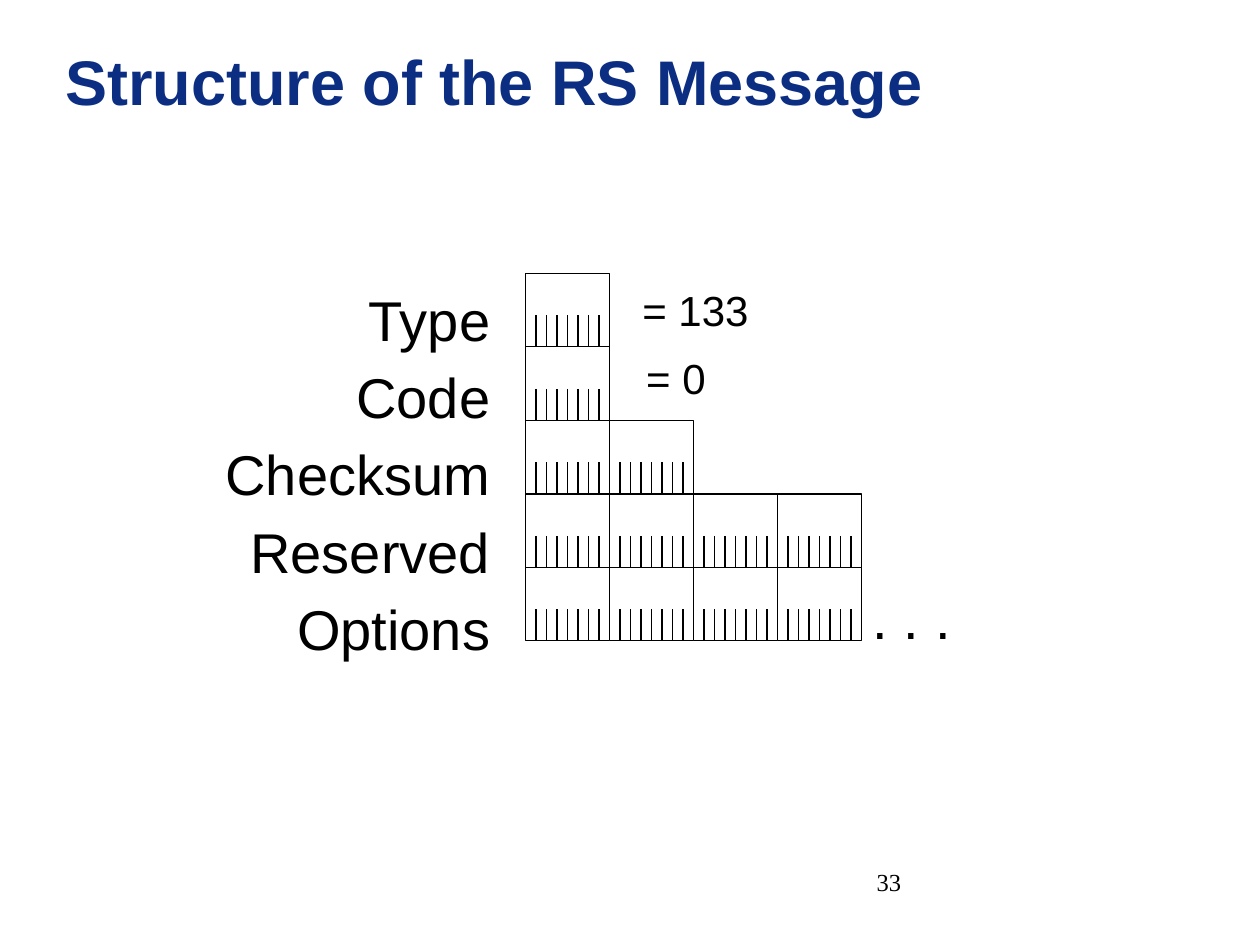
from lxml.etree import SubElement
from pptx import Presentation
from pptx.dml.color import RGBColor
from pptx.enum.shapes import MSO_CONNECTOR, MSO_SHAPE
from pptx.enum.text import MSO_ANCHOR, PP_ALIGN
from pptx.oxml.ns import qn
from pptx.util import Inches, Pt

BLACK, WHITE, NAVY = "000000", "FFFFFF", "0C2E82"

BIT_WIDTH = Inches(1) // 12
BITS_PER_BYTE = 8
BYTE_WIDTH = BIT_WIDTH * BITS_PER_BYTE
BYTE_HEIGHT = BIT_WIDTH * 7
TICK_HEIGHT = Inches(0.25)

# Field name and its length in bytes
FIELDS = [("Type", 1), ("Code", 1), ("Checksum", 2), ("Reserved", 4), ("Options", 4)]


def color(hex_value):
    return RGBColor.from_string(hex_value)


def add_text(shapes, lines, left, top, width, height, size, font="Arial", fill=BLACK,
             bold=False, align=PP_ALIGN.LEFT, anchor=MSO_ANCHOR.TOP, wrap=True, gap=0):
    """Add a text box with one paragraph per line and gap points between them."""
    box = shapes.add_textbox(left, top, width, height)
    frame = box.text_frame
    frame.word_wrap = wrap
    frame.vertical_anchor = anchor
    for index, line in enumerate(lines):
        para = frame.add_paragraph() if index else frame.paragraphs[0]
        para.alignment = align
        if index:
            para.space_before = Pt(gap)
        span = para.add_run()
        span.text = line
        span.font.name = font
        span.font.size = Pt(size)
        span.font.bold = bold
        span.font.color.rgb = color(fill)


def style_line(line):
    line.color.rgb = color(BLACK)
    line.width = Pt(0.75)


def add_byte(shapes, left, top):
    """Draw one byte cell with ticks between its bits."""
    cell = shapes.add_shape(MSO_SHAPE.RECTANGLE, left, top, BYTE_WIDTH, BYTE_HEIGHT)
    cell.shadow.inherit = False
    cell.fill.solid()
    cell.fill.fore_color.rgb = color(WHITE)
    style_line(cell.line)
    bottom = top + BYTE_HEIGHT
    for bit in range(1, BITS_PER_BYTE):
        x = left + bit * BIT_WIDTH
        tick = shapes.add_connector(MSO_CONNECTOR.STRAIGHT, x, bottom - TICK_HEIGHT, x, bottom)
        style_line(tick.line)
        SubElement(tick._element.spPr, qn("a:effectLst"))


def add_message_diagram(page, left, top):
    shapes = page.shapes.add_group_shape().shapes
    add_text(shapes, [name for name, _ in FIELDS], left, top + Inches(0.05),
             Inches(2.41), Inches(2.94), 32, align=PP_ALIGN.RIGHT, gap=5.6)

    grid_left = left + Inches(2.59)
    for row, (_, byte_count) in enumerate(FIELDS):
        for column in range(byte_count):
            add_byte(shapes, grid_left + column * BYTE_WIDTH, top + row * BYTE_HEIGHT)

    notes = [
        ("= 133", 3.42, 0.04, 1.04, 0.5, 24),
        ("= 0", 3.45, 0.58, 0.67, 0.5, 24),
        (". . .", 5.25, 2.41, 0.82, 0.64, 32),
    ]
    for text, x, y, width, height, size in notes:
        add_text(shapes, [text], left + Inches(x), top + Inches(y),
                 Inches(width), Inches(height), size, wrap=False)


def add_title(page, left, top, width, height):
    add_text(page.shapes, ["Structure of the RS Message"], left, top, width, height, 36,
             fill=NAVY, bold=True, anchor=MSO_ANCHOR.MIDDLE)


def add_page_number(page, left, top, width, height):
    add_text(page.shapes, ["33"], left, top, width, height, 14,
             font="Times New Roman", align=PP_ALIGN.RIGHT)


def main():
    deck = Presentation()
    deck.slide_width, deck.slide_height = Inches(10), Inches(7.5)
    page = deck.slides.add_slide(deck.slide_layouts[6])
    page.background.fill.solid()
    page.background.fill.fore_color.rgb = color(WHITE)
    add_title(page, Inches(0.42), Inches(0.34), Inches(9.58), Inches(0.6))
    add_message_diagram(page, Inches(1.58), Inches(2.17))
    add_page_number(page, Inches(5.17), Inches(6.83), Inches(2.08), Inches(0.5))
    deck.save("out.pptx")


if __name__ == "__main__":
    main()
